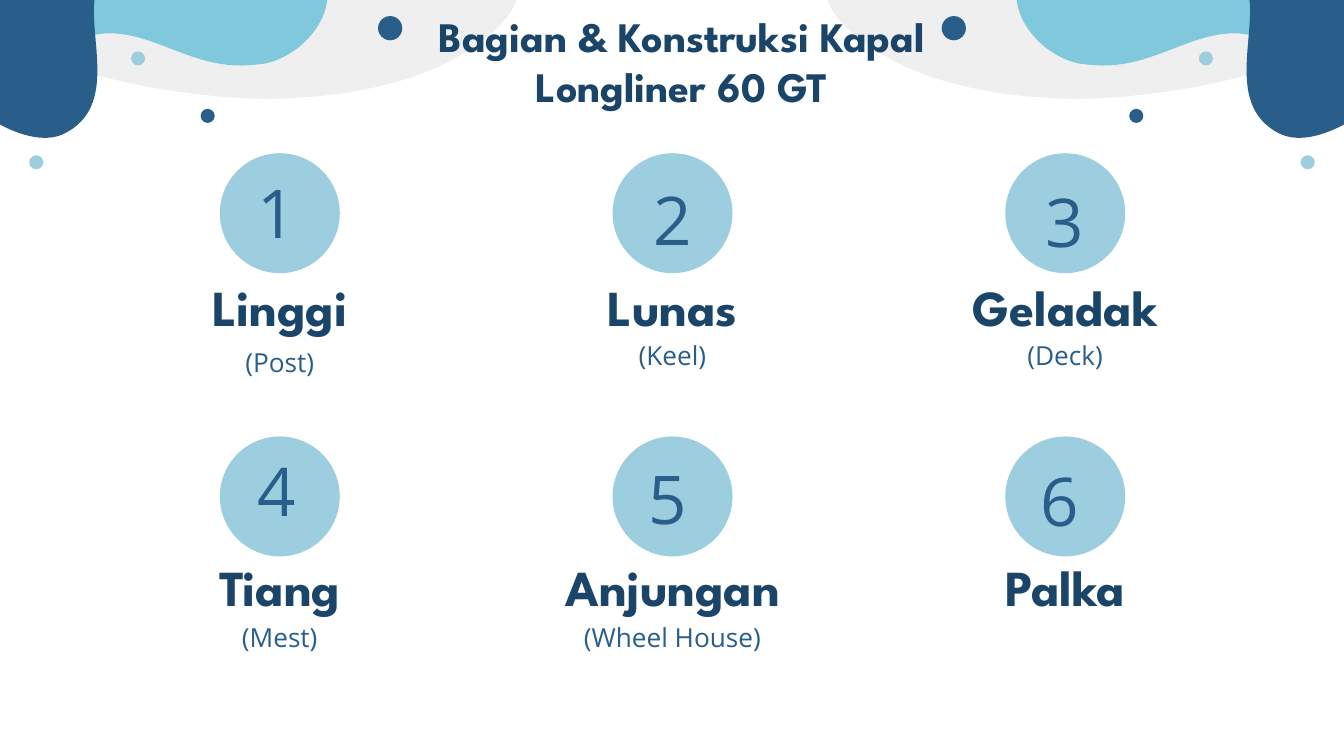
from pptx import Presentation
from pptx.dml.color import RGBColor
from pptx.enum.shapes import MSO_SHAPE
from pptx.enum.text import MSO_ANCHOR, MSO_AUTO_SIZE, PP_ALIGN
from pptx.oxml.ns import qn
from pptx.util import Inches, Pt
from lxml.etree import SubElement

COLORS = {"ink": "1A4568", "navy": "285E89", "teal": "80C9DD", "sky": "9DCEDF", "grey": "EFEFEF"}
HEADING, BODY = "League Spartan", "Open Sans"
SLIDE_WIDTH, SLIDE_HEIGHT = 13.33, 7.5
DISC = 1.19
FIRST_CENTER, COLUMN_STEP = 2.775, 3.895

WAVES = [
    ("grey", (16.34, -0.31), [
        (15.32, -0.31, 14.29, -0.27, 13.27, -0.26), (12.3, -0.24, 11.33, -0.23, 10.37, -0.23),
        (9.89, -0.23, 9.41, -0.23, 8.93, -0.23), (8.88, -0.23, 8.82, -0.23, 8.75, -0.23),
        (8.49, -0.23, 8.15, -0.21, 8.21, 0), (8.29, 0.27, 8.69, 0.52, 9, 0.67),
        (9.48, 0.88, 10.06, 0.97, 10.64, 0.98), (10.97, 0.98, 11.27, 0.95, 11.56, 0.91),
        (11.93, 0.86, 12.28, 0.77, 12.64, 0.68), (13.55, 0.45, 14.47, 0.24, 15.43, 0.14),
        (15.95, 0.09, 16.47, 0.07, 17, 0.07), (17.4, 0.07, 17.8, 0.08, 18.19, 0.09),
        (18.19, -0.03, 18.19, -0.14, 18.19, -0.26), (17.57, -0.29, 16.96, -0.31, 16.34, -0.31)]),
    ("teal", (10.94, 0.65), [
        (10.86, 0.65, 10.78, 0.64, 10.7, 0.63), (10.38, 0.56, 10.1, 0.27, 10.08, -0.03),
        (10.07, -0.23, 10.18, -0.54, 10.45, -0.69), (10.56, -0.75, 10.64, -0.77, 10.73, -0.77),
        (10.79, -0.77, 10.86, -0.76, 10.93, -0.74), (11.72, -0.6, 12.52, -0.43, 13.32, -0.43),
        (13.39, -0.43, 13.47, -0.44, 13.54, -0.44), (13.5, -0.28, 13.49, -0.12, 13.45, 0.03),
        (13.4, 0.19, 13.29, 0.43, 13.11, 0.5), (13.07, 0.52, 13.03, 0.53, 12.99, 0.53),
        (12.77, 0.53, 12.57, 0.34, 12.25, 0.33), (11.8, 0.33, 11.45, 0.65, 10.94, 0.65)]),
    ("navy", (11.58, -1.17), [
        (11.52, -1.08, 11.47, -0.95, 11.51, -0.8), (11.59, -0.45, 12.15, -0.52, 12.34, -0.18),
        (12.55, 0.19, 12.08, 1.03, 12.7, 1.33), (13.09, 1.51, 13.78, 1.01, 14.09, 0.57),
        (14.16, 0.47, 14.21, 0.38, 14.23, 0.3), (14.24, 0.28, 13.93, -0.1, 13.89, -0.14),
        (13.49, -0.48, 13.07, -0.77, 12.62, -1.03), (12.4, -1.15, 12.18, -1.27, 11.95, -1.38),
        (11.89, -1.4, 11.92, -1.39, 11.83, -1.37), (11.78, -1.35, 11.66, -1.28, 11.58, -1.17)]),
]
DOTS = [(9.34, 0.16, 0.24, "navy"), (11.89, 0.51, 0.14, "sky"),
        (11.2, 1.08, 0.14, "navy"), (12.9, 1.54, 0.14, "sky")]

SHIP_PARTS = [
    ("Linggi", "(Post)", 3.31, (1.34, 1.57)),
    ("Lunas", "(Keel)", 3.24, (5.27, 1.64)),
    ("Geladak", "(Deck)", 3.24, (9.16, 1.66)),
    ("Tiang", "(Mest)", 6.03, (1.34, 4.33)),
    ("Anjungan", "(Wheel House)", 6.03, (5.22, 4.41)),
    ("Palka", None, None, (9.11, 4.43)),
]


def paint(shape, color):
    shape.shadow.inherit = False
    shape.fill.solid()
    shape.fill.fore_color.rgb = RGBColor.from_string(COLORS[color])
    shape.line.fill.background()


def add_circle(slide, left, top, size, color):
    circle = slide.shapes.add_shape(
        MSO_SHAPE.OVAL, Inches(left), Inches(top), Inches(size), Inches(size))
    paint(circle, color)


def bend_segments(wave):
    outline = next(wave._element.iter(qn("a:path")))
    segments = outline.findall(qn("a:lnTo"))
    closing = outline.find(qn("a:close"))
    for first in range(0, len(segments), 3):
        curve = SubElement(outline, qn("a:cubicBezTo"))
        for segment in segments[first:first + 3]:
            curve.append(segment[0])
            outline.remove(segment)
    outline.append(closing)


def add_wave(slide, color, points):
    outline = [(Inches(x), Inches(y)) for x, y in points]
    builder = slide.shapes.build_freeform(*outline[0])
    builder.add_line_segments(outline[1:], close=True)
    wave = builder.convert_to_shape()
    bend_segments(wave)
    paint(wave, color)


def add_corner(slide, mirrored):
    for color, start, curves in WAVES:
        points = [start]
        for curve in curves:
            points += zip(curve[::2], curve[1::2])
        if mirrored:
            points = [(SLIDE_WIDTH - x, y) for x, y in points]
        add_wave(slide, color, points)
    for left, top, size, color in DOTS:
        add_circle(slide, SLIDE_WIDTH - left - size if mirrored else left, top, size, color)


def write_text(box, text, *, size, font, color, bold=False, anchor=MSO_ANCHOR.TOP):
    frame = box.text_frame
    frame.word_wrap = True
    frame.auto_size = MSO_AUTO_SIZE.NONE
    frame.vertical_anchor = anchor
    frame.margin_left = frame.margin_right = frame.margin_top = frame.margin_bottom = Inches(0.13)
    paragraph = frame.paragraphs[0]
    paragraph.text = text
    paragraph.alignment = PP_ALIGN.CENTER
    paragraph.font.size = Pt(size)
    paragraph.font.name = font
    paragraph.font.bold = bold
    paragraph.font.color.rgb = RGBColor.from_string(COLORS[color])


def add_text(slide, text, left, top, width, height, **text_format):
    box = slide.shapes.add_textbox(Inches(left), Inches(top), Inches(width), Inches(height))
    write_text(box, text, **text_format)


def place_title(slide, text):
    title = slide.shapes.title
    title.left, title.top = Inches(4.14), Inches(-0.03)
    title.width, title.height = Inches(5.25), Inches(0.84)
    write_text(title, text, size=30, font=HEADING, color="ink", bold=True)
    slide.shapes._spTree.append(title._element)


def add_ship_part(slide, index, name, english, english_top, number_at):
    row, column = divmod(index, 3)
    center = FIRST_CENTER + column * COLUMN_STEP
    add_circle(slide, center - DISC / 2, 1.52 + row * 2.81, DISC, "sky")
    add_text(slide, str(index + 1), *number_at, 2.8, 0.9, size=48, font=BODY, color="navy")
    add_text(slide, name, center - 1.815, 2.78 + row * 2.78, 3.63, 0.52,
             size=36, font=HEADING, color="ink", bold=True, anchor=MSO_ANCHOR.MIDDLE)
    if english:
        add_text(slide, english, center - 1.4, english_top, 2.8, 0.9,
                 size=18.7, font=BODY, color="navy")


def main():
    deck = Presentation()
    deck.slide_width, deck.slide_height = Inches(SLIDE_WIDTH), Inches(SLIDE_HEIGHT)
    slide = deck.slides.add_slide(deck.slide_layouts[5])
    for mirrored in (False, True):
        add_corner(slide, mirrored)
    place_title(slide, "Bagian & Konstruksi Kapal Longliner 60 GT")
    for index, ship_part in enumerate(SHIP_PARTS):
        add_ship_part(slide, index, *ship_part)
    deck.save("out.pptx")


if __name__ == "__main__":
    main()
